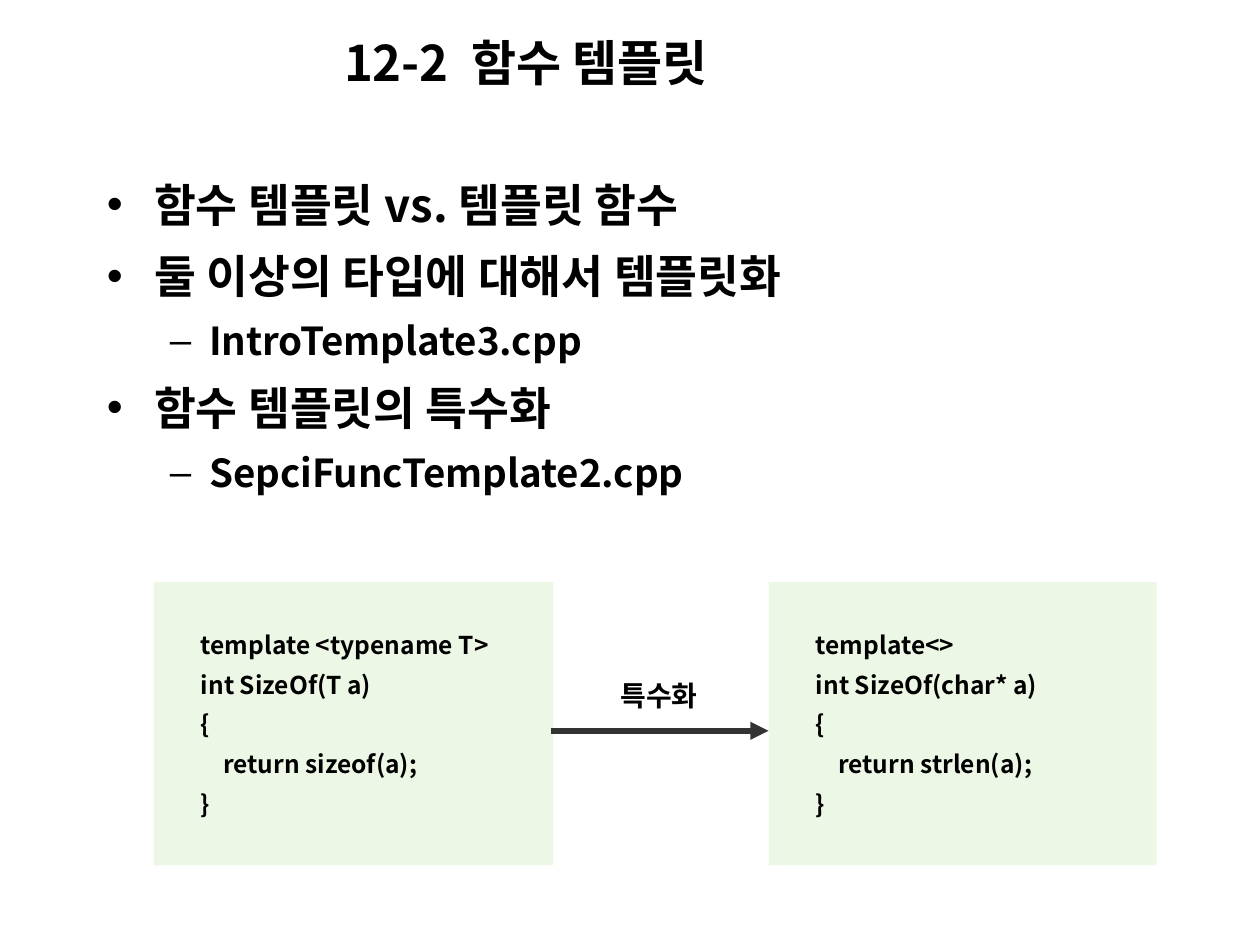
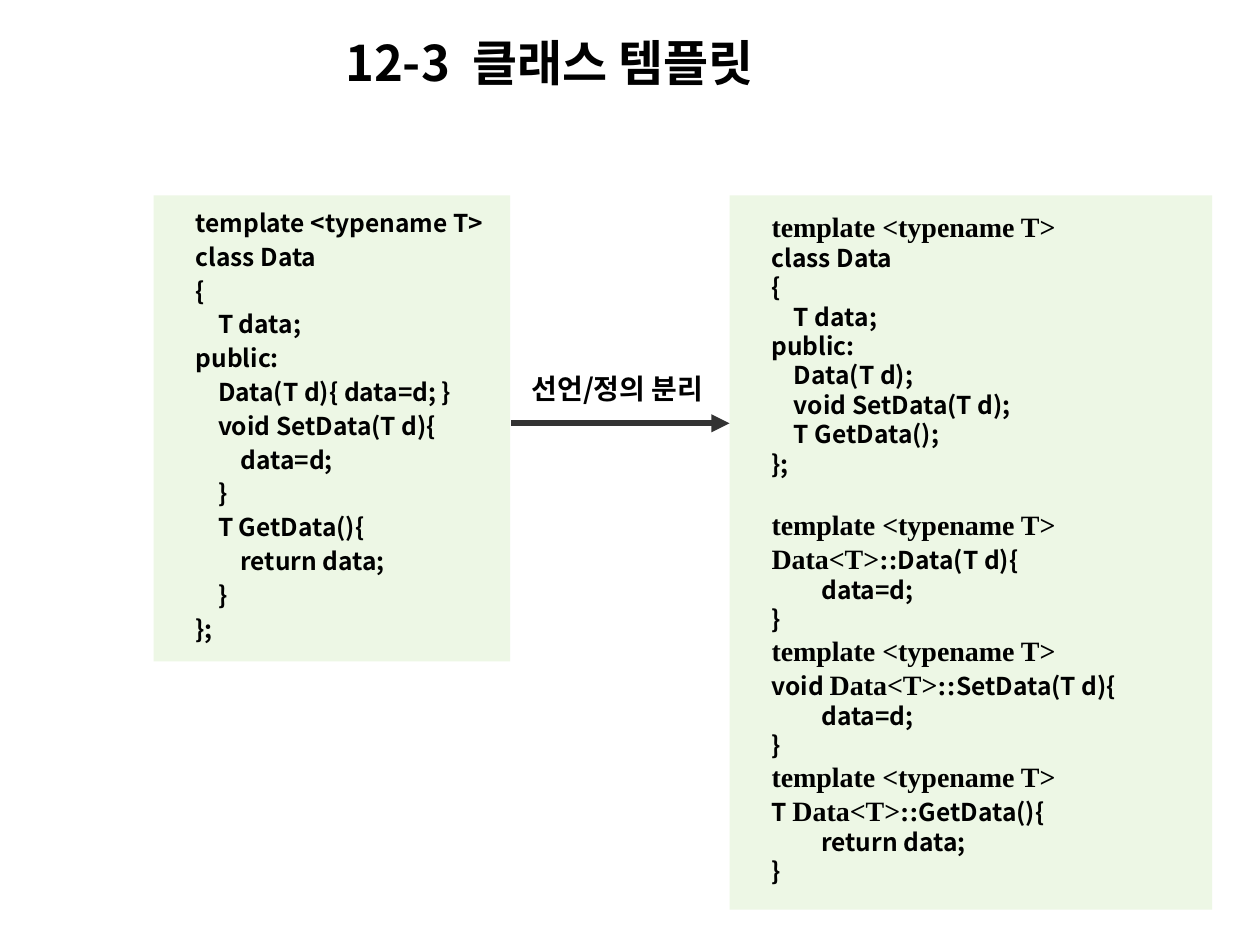
from lxml import etree
from pptx import Presentation
from pptx.dml.color import RGBColor
from pptx.enum.shapes import MSO_CONNECTOR, MSO_SHAPE
from pptx.enum.text import MSO_ANCHOR, MSO_AUTO_SIZE, PP_ALIGN
from pptx.oxml.ns import qn
from pptx.util import Pt

COLORS = {"text": "000000", "code": "EDF7E5", "arrow": "333333"}
SANS = "Noto Sans CJK KR"
SERIF = "Times New Roman"
STRAIGHT = MSO_CONNECTOR.STRAIGHT
RECTANGLE = MSO_SHAPE.RECTANGLE
MIDDLE = MSO_ANCHOR.MIDDLE
LEFT, CENTER = PP_ALIGN.LEFT, PP_ALIGN.CENTER
GROW = MSO_AUTO_SIZE.SHAPE_TO_FIT_TEXT
SPACE_STEP, TAB_STEP = 12.8, 28.4
SECTION_GAP = 17
BULLETS = [("•", 27, 27, 26, 6.5), ("–", 58.5, 22.5, 22, 5.5)]

TOPICS = [
    (0, "함수 템플릿 vs. 템플릿 함수"),
    (0, "둘 이상의 타입에 대해서 템플릿화"),
    (1, "IntroTemplate3.cpp"),
    (0, "함수 템플릿의 특수화"),
    (1, "SepciFuncTemplate2.cpp"),
]


def sizeof_code(head, signature, result):
    lines = [(0, head), (0, signature), (0, "{"), (1, result), (0, "}")]
    return [(SPACE_STEP, lines)]


CLASS_HEAD = [(0, "class Data"), (0, "{"), (1, "T data;"), (0, "public:")]
INLINE_CLASS = [(SPACE_STEP, [
    (0, "template <typename T>"),
    *CLASS_HEAD,
    (1, "Data(T d){ data=d; }"),
    (1, "void SetData(T d){"),
    (2, "data=d;"),
    (1, "}"),
    (1, "T GetData(){"),
    (2, "return data;"),
    (1, "}"),
    (0, "};"),
])]
SERIF_TEMPLATE = (0, "|template <typename T>|")
MEMBERS = [
    ("|Data<T>::|Data(T d){", "data=d;"),
    ("void |Data<T>::|SetData(T d){", "data=d;"),
    ("T |Data<T>::|GetData(){", "return data;"),
]
SPLIT_CLASS = [
    (SPACE_STEP, [
        SERIF_TEMPLATE,
        *CLASS_HEAD,
        (1, "Data(T d);"),
        (1, "void SetData(T d);"),
        (1, "T GetData();"),
        (0, "};"),
    ]),
    (TAB_STEP, [
        line
        for signature, statement in MEMBERS
        for line in (SERIF_TEMPLATE, (0, signature), (1, statement), (0, "}"))
    ]),
]


def rgb(name):
    return RGBColor.from_string(COLORS[name])


def format_span(span, size, face=SANS):
    span.font.size = Pt(size)
    span.font.bold = True
    span.font.name = face
    span.font.color.rgb = rgb("text")
    east_asian = etree.Element(qn("a:ea"), typeface=face)
    span.font._element.find(qn("a:latin")).addnext(east_asian)


def set_text(frame, text, size, align):
    frame.text = text
    para = frame.paragraphs[0]
    para.alignment = align
    format_span(para.runs[0], size)


def set_indent(para, left, hanging=0):
    properties = para._p.get_or_add_pPr()
    properties.set("marL", str(Pt(left)))
    properties.set("indent", str(-Pt(hanging)))
    return properties


def next_para(frame, first):
    return frame.paragraphs[0] if first else frame.add_paragraph()


def add_page(deck, title, left):
    page = deck.slides.add_slide(deck.slide_layouts[5])
    box = page.shapes.title
    box.left, box.top, box.width, box.height = Pt(left), Pt(15), Pt(278), Pt(41)
    frame = box.text_frame
    frame.vertical_anchor = MIDDLE
    frame.auto_size = GROW
    set_text(frame, title, 28, LEFT)
    return page


def add_topics(page, left, top, width, height):
    box = page.shapes.add_textbox(Pt(left), Pt(top), Pt(width), Pt(height))
    frame = box.text_frame
    frame.word_wrap = True
    for index, (level, text) in enumerate(TOPICS):
        mark, indent, hanging, size, gap = BULLETS[level]
        para = next_para(frame, index == 0)
        para.text = text
        para.level = level
        para.line_spacing = 1.1
        para.space_before = Pt(gap)
        properties = set_indent(para, indent, hanging)
        etree.SubElement(properties, qn("a:buFont"), typeface="Arial")
        etree.SubElement(properties, qn("a:buChar"), char=mark)
        format_span(para.runs[0], size)


def add_code(page, sections, left, top, width, height, spacing, inset=24):
    box = page.shapes.add_shape(RECTANGLE, Pt(left), Pt(top), Pt(width), Pt(height))
    box.shadow.inherit = False
    box.fill.solid()
    box.fill.fore_color.rgb = rgb("code")
    box.line.fill.background()
    frame = box.text_frame
    frame.word_wrap = True
    frame.vertical_anchor = MIDDLE
    frame.margin_left, frame.margin_right = Pt(inset), Pt(7.2)
    frame.margin_top, frame.margin_bottom = Pt(9.4), Pt(15.1)
    for section, (step, lines) in enumerate(sections):
        for row, (level, line) in enumerate(lines):
            para = next_para(frame, section == row == 0)
            para.alignment = LEFT
            para.line_spacing = spacing
            if section and row == 0:
                para.space_before = Pt(SECTION_GAP)
            set_indent(para, level * step)
            for part, text in enumerate(line.split("|")):
                if text:
                    span = para.add_run()
                    span.text = text
                    format_span(span, *((16, SERIF) if part % 2 else (14, SANS)))


def add_arrow(page, label, left, top, label_center):
    arrow = page.shapes.add_connector(
        STRAIGHT, Pt(left), Pt(top), Pt(left + 124.6), Pt(top))
    arrow.line.color.rgb = rgb("arrow")
    arrow.line.width = Pt(3.5)
    etree.SubElement(arrow.line._get_or_add_ln(), qn("a:tailEnd"), type="triangle")
    etree.SubElement(arrow._element.spPr, qn("a:effectLst"))
    width, height = 114, 30
    box = page.shapes.add_textbox(
        Pt(label_center - width / 2), Pt(top - 20 - height / 2), Pt(width), Pt(height))
    box.text_frame.word_wrap = False
    box.text_frame.vertical_anchor = MIDDLE
    set_text(box.text_frame, label, 16, CENTER)


def add_function_page(deck):
    page = add_page(deck, "12-2  함수 템플릿", 189.4)
    add_topics(page, 54, 94.3, 612, 206.6)
    general = sizeof_code("template <typename T>", "int SizeOf(T a)", "return sizeof(a);")
    special = sizeof_code("template<>", "int SizeOf(char* a)", "return strlen(a);")
    add_code(page, general, 87.8, 332.6, 228.2, 162, 1.35, inset=27)
    add_code(page, special, 439.2, 332.6, 221.8, 162, 1.35, inset=27)
    add_arrow(page, "특수화", 314.6, 417.6, 376.6)


def add_class_page(deck):
    page = add_page(deck, "12-3  클래스 템플릿", 190.1)
    add_code(page, INLINE_CLASS, 87.8, 111.6, 203.8, 266.4, 1.15)
    add_code(page, SPLIT_CLASS, 416.9, 111.6, 275.8, 408.2, 1.0)
    add_arrow(page, "선언/정의 분리", 292.3, 241.9, 352.8)


def main():
    deck = Presentation()
    deck.slide_width, deck.slide_height = Pt(720), Pt(540)
    add_function_page(deck)
    add_class_page(deck)
    deck.save("out.pptx")


if __name__ == "__main__":
    main()
